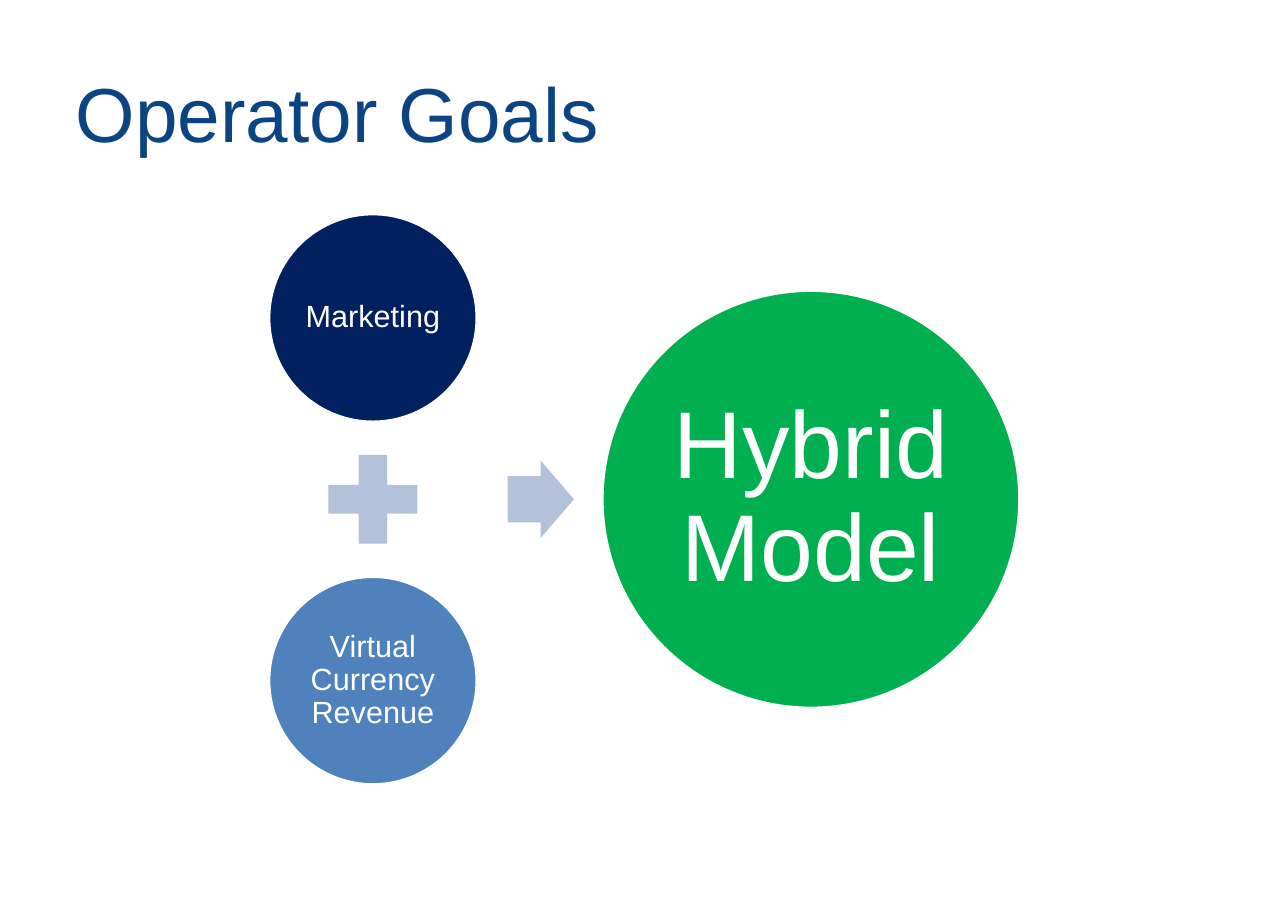
import pptx
import pptx.util
import pptx.dml.color
import pptx.enum.shapes
import pptx.enum.text

Cm, Pt = pptx.util.Cm, pptx.util.Pt
Kind = pptx.enum.shapes.MSO_SHAPE
Align = pptx.enum.text.PP_ALIGN
WHITE, PALE = "FFFFFF", "B3C1DB"
LEFT, MID, STEP = 8.6, 11.51, 4.18


def color(code):
    """Turn a hex string into a colour."""
    return pptx.dml.color.RGBColor.from_string(code)


def write(shape, text, size, ink, align, inset):
    """Set the text of a shape and format it."""
    frame = shape.text_frame
    frame.text = text
    frame.word_wrap = True
    frame.vertical_anchor = pptx.enum.text.MSO_ANCHOR.MIDDLE
    frame.margin_left = frame.margin_right = Cm(inset[0])
    frame.margin_top = frame.margin_bottom = Cm(inset[1])
    line = frame.paragraphs[0]
    line.alignment = align
    font = line.runs[0].font
    font.name, font.size = "Arial", Pt(size)
    font.color.rgb = color(ink)


def title(slide, text):
    """Add the slide title."""
    box = slide.shapes.add_textbox(Cm(1.47), Cm(0.84), Cm(26.72), Cm(3.5))
    write(box, text, 50, "0A4483", Align.LEFT, (0.28, 0.15))


def sign(slide, kind, x, y, width, height, fill):
    """Add a plain shape centred on a point."""
    shape = slide.shapes.add_shape(
        kind, Cm(x - width / 2), Cm(y - height / 2), Cm(width), Cm(height))
    shape.shadow.inherit = False
    shape.fill.solid()
    shape.fill.fore_color.rgb = color(fill)
    shape.line.fill.background()
    return shape


def circle(slide, text, x, y, width, fill, size, inset):
    """Add a labelled circle centred on a point."""
    shape = sign(slide, Kind.OVAL, x, y, width, width, fill)
    shape.line.color.rgb = color(WHITE)
    shape.line.width = Pt(2)
    write(shape, text, size, WHITE, Align.CENTER, (inset, inset))
    shape.text_frame.paragraphs[0].line_spacing = 0.9


def main():
    """Build the slide and save it."""
    deck = pptx.Presentation()
    deck.slide_width, deck.slide_height = Cm(29.7), Cm(21)
    slide = deck.slides.add_slide(deck.slide_layouts[6])
    title(slide, "Operator Goals")
    circle(slide, "Marketing", LEFT, MID - STEP, 4.8, "002060", 20, 0.07)
    sign(slide, Kind.MATH_PLUS, LEFT, MID, 2.79, 2.79, PALE)
    circle(slide, "Virtual Currency Revenue", LEFT, MID + STEP, 4.8,
           "4F81BD", 20, 0.07)
    arrow = sign(slide, Kind.RIGHT_ARROW, 12.47, MID, 1.53, 1.78, PALE)
    arrow.adjustments[0] = 0.6
    arrow.adjustments[1] = 0.5
    circle(slide, "Hybrid Model", 18.7, MID, 9.63, "00B050", 62, 0.22)
    deck.save("out.pptx")


if __name__ == "__main__":
    main()
